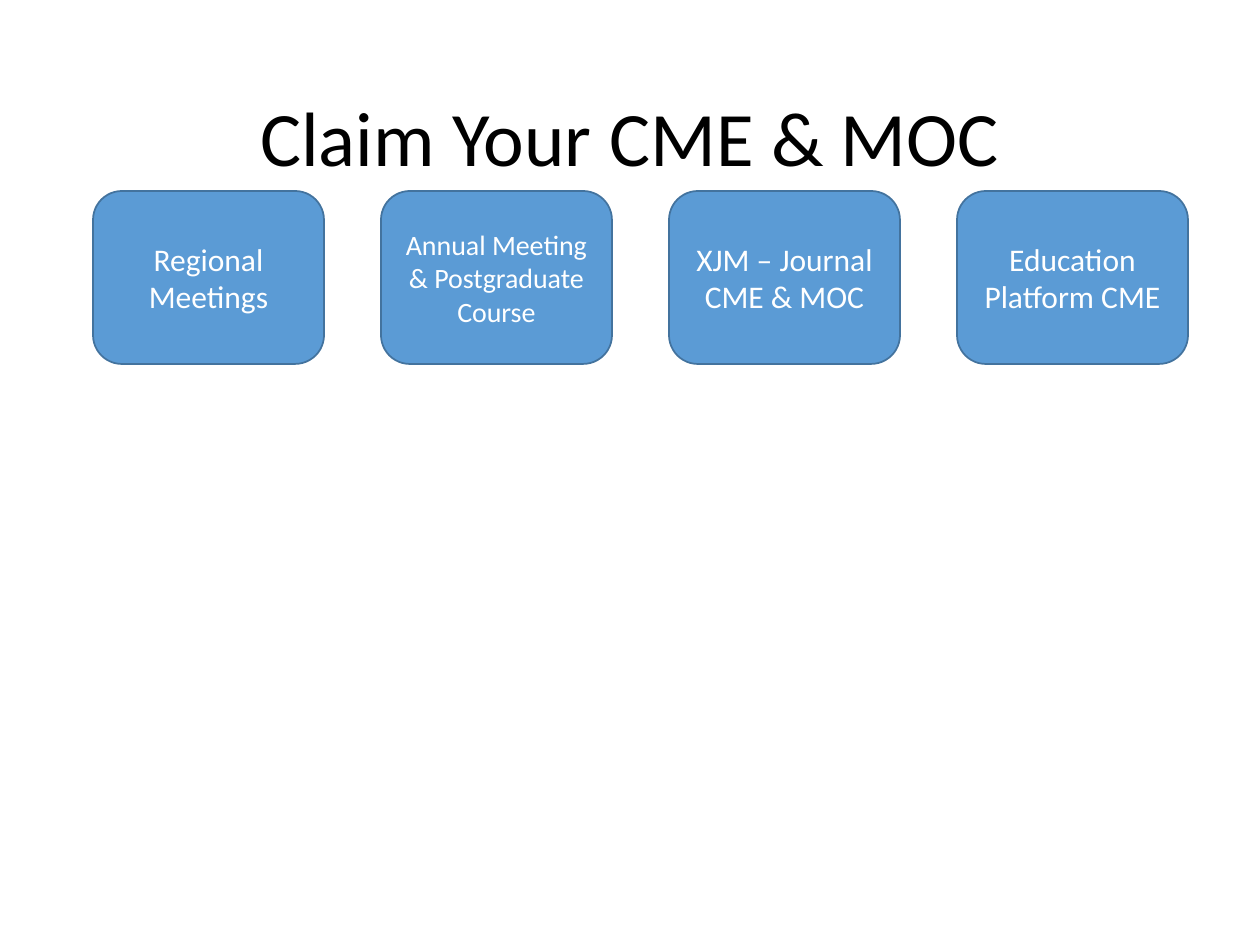
"""Build the slide on claiming CME and MOC credit."""
from pptx import Presentation
from pptx.dml.color import RGBColor
from pptx.enum.shapes import MSO_SHAPE
from pptx.enum.text import MSO_ANCHOR, PP_ALIGN
from pptx.util import Emu, Pt

TITLE = "Claim Your CME & MOC"
CARDS = [
    ("Regional Meetings", 18),
    ("Annual Meeting & Postgraduate Course", 16),
    ("XJM – Journal\nCME & MOC", 18),
    ("Education Platform CME", 18),
]

FONT = "Calibri"
BLACK = RGBColor(0x00, 0x00, 0x00)
WHITE = RGBColor(0xFF, 0xFF, 0xFF)
BLUE = RGBColor(0x5B, 0x9B, 0xD5)
DARK_BLUE = RGBColor(0x43, 0x73, 0x9E)

SLIDE_WIDTH, SLIDE_HEIGHT = 1260, 945
TITLE_BOX = (87, 50, 1086, 183)
CARD_LEFT, CARD_TOP = 93, 191
CARD_WIDTH, CARD_HEIGHT = 231, 173
CARD_PITCH = 288


def px(length):
    """Turn picture pixels into EMU."""
    return Emu(length * 914400 // 126)


def format_text(text_frame, size, color):
    """Centre the text and set its font."""
    text_frame.word_wrap = True
    text_frame.vertical_anchor = MSO_ANCHOR.MIDDLE
    for paragraph in text_frame.paragraphs:
        paragraph.alignment = PP_ALIGN.CENTER
        for run in paragraph.runs:
            run.font.name = FONT
            run.font.size = Pt(size)
            run.font.color.rgb = color


def add_card(slide, index, text, size):
    """Add one rounded card of the row."""
    card = slide.shapes.add_shape(
        MSO_SHAPE.ROUNDED_RECTANGLE,
        px(CARD_LEFT + index * CARD_PITCH), px(CARD_TOP),
        px(CARD_WIDTH), px(CARD_HEIGHT),
    )
    card.shadow.inherit = False
    card.fill.solid()
    card.fill.fore_color.rgb = BLUE
    card.line.color.rgb = DARK_BLUE
    card.line.width = Pt(1)
    card.text_frame.text = text
    format_text(card.text_frame, size, WHITE)


presentation = Presentation()
presentation.slide_width = px(SLIDE_WIDTH)
presentation.slide_height = px(SLIDE_HEIGHT)
slide = presentation.slides.add_slide(presentation.slide_layouts[5])

title = slide.shapes.title
title.left, title.top, title.width, title.height = map(px, TITLE_BOX)
title.text_frame.text = TITLE
title.text_frame.paragraphs[0].line_spacing = 0.9
format_text(title.text_frame, 44, BLACK)

for index, (text, size) in enumerate(CARDS):
    add_card(slide, index, text, size)

presentation.save("out.pptx")
